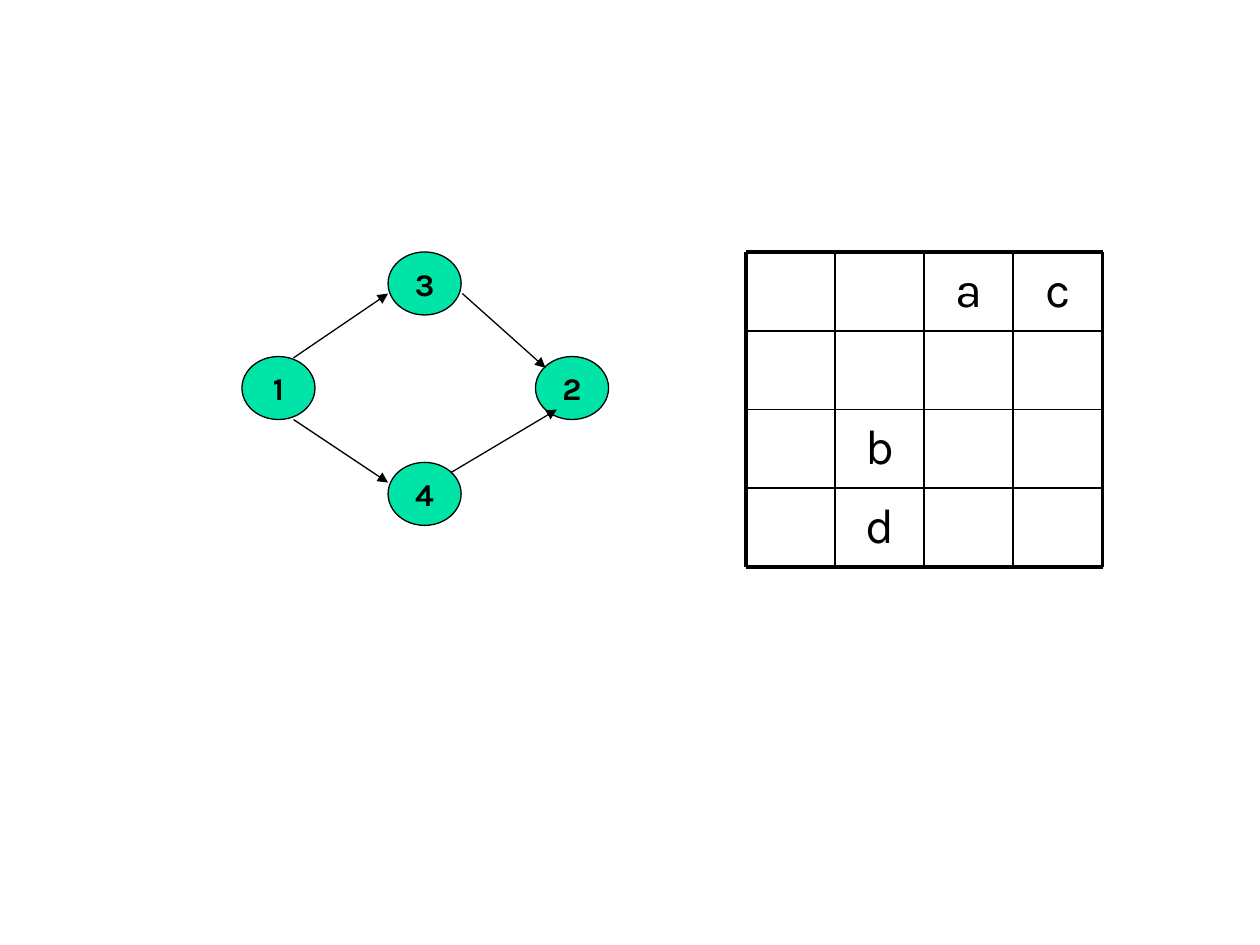
from lxml.etree import SubElement
from pptx import Presentation
from pptx.dml.color import RGBColor
from pptx.enum.shapes import MSO_CONNECTOR, MSO_SHAPE
from pptx.enum.text import MSO_ANCHOR, PP_ALIGN
from pptx.oxml.ns import qn
from pptx.util import Inches, Pt

FONT = "Karla"
BLACK = "000000"
GREEN = "00E4A8"
NODE_WIDTH, NODE_HEIGHT = 0.58, 0.5
THIN, INNER, FRAME = 0.74, 0.99, 2.24


def color(value):
    """Turn a hex string into a colour."""
    return RGBColor.from_string(value)


def write(text_frame, text, size, bold=False):
    """Write one centred run into a text frame and return its paragraph."""
    paragraph = text_frame.paragraphs[0]
    paragraph.alignment = PP_ALIGN.CENTER
    run = paragraph.add_run()
    run.text = text
    run.font.name = FONT
    run.font.size = Pt(size)
    run.font.bold = bold
    run.font.color.rgb = color(BLACK)
    return paragraph


def add_line(slide, x1, y1, x2, y2, width, arrow=False):
    """Add a straight black line, with an arrowhead at its end if asked."""
    line = slide.shapes.add_connector(MSO_CONNECTOR.STRAIGHT, Inches(x1), Inches(y1),
                                      Inches(x2), Inches(y2))
    line.line.color.rgb = color(BLACK)
    line.line.width = Pt(width)
    if arrow:
        SubElement(line.line._get_or_add_ln(), qn("a:tailEnd"), type="triangle")
    SubElement(line._element.spPr, qn("a:effectLst"))


def add_node(slide, label, left, top):
    """Add a numbered graph node."""
    node = slide.shapes.add_shape(MSO_SHAPE.OVAL, Inches(left), Inches(top),
                                  Inches(NODE_WIDTH), Inches(NODE_HEIGHT))
    node.shadow.inherit = False
    node.fill.solid()
    node.fill.fore_color.rgb = color(GREEN)
    node.line.color.rgb = color(BLACK)
    node.line.width = Pt(THIN)
    node.text_frame.word_wrap = False
    node.text_frame.vertical_anchor = MSO_ANCHOR.MIDDLE
    write(node.text_frame, label, 18, bold=True)


def add_graph(slide, left, top):
    """Draw the four-node graph from its top left corner."""
    nodes = {"3": (1.16, 0), "4": (1.16, 1.67), "1": (0, 0.83), "2": (2.33, 0.83)}
    arrows = [(0.41, 0.84, 1.16, 0.33), (1.75, 0.33, 2.41, 0.92),
              (0.41, 1.33, 1.16, 1.83), (1.66, 1.75, 2.5, 1.25)]
    for label, (x, y) in nodes.items():
        add_node(slide, label, left + x, top + y)
    for x1, y1, x2, y2 in arrows:
        add_line(slide, left + x1, top + y1, left + x2, top + y2, THIN, arrow=True)


def add_letter(slide, letter, left, top, width, height):
    """Place one letter in its grid cell."""
    box = slide.shapes.add_textbox(Inches(left), Inches(top), Inches(width), Inches(height))
    box.text_frame.word_wrap = True
    write(box.text_frame, letter, 28).space_before = Pt(7)


def add_letter_grid(slide, left, top, width, height, size, letters):
    """Draw a square grid with a heavy frame, and letters keyed by row and column."""
    cell_width, cell_height = width / size, height / size
    for (row, column), letter in letters.items():
        add_letter(slide, letter, left + column * cell_width, top + row * cell_height,
                   cell_width, cell_height)
    for index in range(size + 1):
        weight = FRAME if index in (0, size) else INNER
        x, y = left + index * cell_width, top + index * cell_height
        add_line(slide, left, y, left + width, y, weight)
        add_line(slide, x, top, x, top + height, weight)


def main():
    """Build and save the slide."""
    presentation = Presentation()
    presentation.slide_width, presentation.slide_height = Inches(10), Inches(7.5)
    slide = presentation.slides.add_slide(presentation.slide_layouts[6])
    add_graph(slide, 1.92, 2)
    letters = {(3, 1): "d", (2, 1): "b", (0, 3): "c", (0, 2): "a"}
    add_letter_grid(slide, 5.92, 2, 2.83, 2.5, 4, letters)
    presentation.save("out.pptx")


main()
